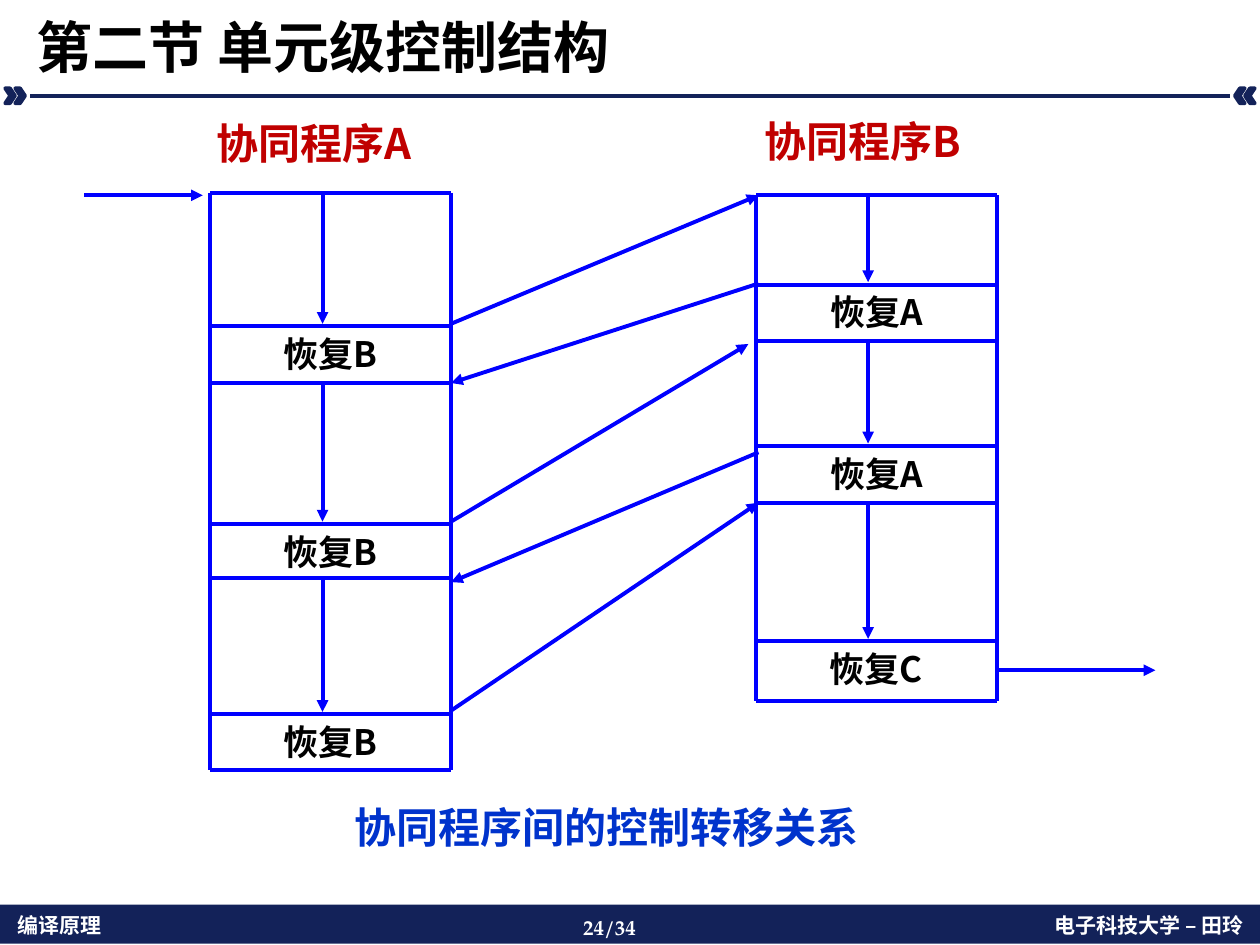
from itertools import pairwise

from lxml.etree import SubElement
from pptx import Presentation
from pptx.dml.color import RGBColor
from pptx.enum.shapes import MSO_CONNECTOR, MSO_SHAPE
from pptx.enum.text import MSO_ANCHOR, MSO_AUTO_SIZE, PP_ALIGN
from pptx.oxml.ns import qn
from pptx.util import Pt

EMU_PER_PX = 9144
SANS = "Noto Sans CJK SC"
SERIF = "TeX Gyre Pagella"
COLORS = {
    "navy": "132259",
    "white": "FFFFFF",
    "black": "000000",
    "flow": "0000FF",
    "heading": "C00000",
    "caption": "0033CC",
}


def px(length):
    """Turn a length in px into EMU."""
    return length * EMU_PER_PX


def color(name):
    """Return the named colour."""
    return RGBColor.from_string(COLORS[name])


def add_run(paragraph, text, size, color_name, font=SANS):
    """Append a bold run, with the same font for Latin and Chinese letters."""
    run = paragraph.add_run()
    run.text = text
    run.font.size = Pt(size)
    run.font.bold = True
    run.font.name = font
    run.font.color.rgb = color(color_name)
    SubElement(run._r.get_or_add_rPr(), qn("a:ea")).set("typeface", font)


def add_text(slide, box, text, size, color_name, align=PP_ALIGN.LEFT, font=SANS):
    """Add a wrapping one-paragraph text box and return its frame."""
    frame = slide.shapes.add_textbox(*map(px, box)).text_frame
    frame.word_wrap = True
    paragraph = frame.paragraphs[0]
    paragraph.alignment = align
    add_run(paragraph, text, size, color_name, font)
    return frame


def add_label(slide, box, text, size, color_name, space_before):
    """Add a centred label without side margins and return its frame."""
    frame = add_text(slide, box, text, size, color_name, PP_ALIGN.CENTER)
    frame.margin_left = frame.margin_right = 0
    frame.paragraphs[0].space_before = Pt(space_before)
    return frame


def add_hanging_label(slide, box, text, color_name):
    """Add a large centred label with a hanging indent."""
    frame = add_label(slide, box, text, 24, color_name, 12)
    frame.word_wrap = False
    frame.auto_size = MSO_AUTO_SIZE.SHAPE_TO_FIT_TEXT
    frame.vertical_anchor = MSO_ANCHOR.MIDDLE
    paragraph = frame.paragraphs[0]
    paragraph.line_spacing = 0.9
    properties = paragraph._p.get_or_add_pPr()
    properties.set("marL", str(px(50)))
    properties.set("indent", str(px(-50)))


def add_line(slide, start, end, color_name="flow", width=2.25, arrow=False):
    """Draw a straight line, with an arrowhead at its end if wanted."""
    line = slide.shapes.add_connector(
        MSO_CONNECTOR.STRAIGHT, *map(px, (*start, *end)))
    line.line.color.rgb = color(color_name)
    line.line.width = Pt(width)
    if arrow:
        SubElement(line.line._get_or_add_ln(), qn("a:tailEnd")).set("type", "triangle")
    SubElement(line._element.spPr, qn("a:effectLst"))


def add_navy_shape(slide, kind, box):
    """Add a plain navy shape without a shadow."""
    shape = slide.shapes.add_shape(kind, *map(px, box))
    shape.shadow.inherit = False
    shape.fill.solid()
    shape.fill.fore_color.rgb = color("navy")
    shape.line.fill.background()
    return shape


def add_header(slide, box, text):
    """Place the title above a rule that ends in double chevrons."""
    left, top, width, height = box
    title = slide.shapes.title
    title.left, title.top, title.width, title.height = map(
        px, (left + 19, top + 5, width - 39, 64))
    frame = title.text_frame
    frame.word_wrap = True
    frame.auto_size = MSO_AUTO_SIZE.NONE
    frame.vertical_anchor = MSO_ANCHOR.BOTTOM
    paragraph = frame.paragraphs[0]
    paragraph.alignment = PP_ALIGN.LEFT
    paragraph.line_spacing = 0.9
    add_run(paragraph, text, 32, "black")
    right, rule = left + width, top + height
    add_line(slide, (left + 24, rule), (right - 24, rule), "navy", 2)
    for offset in (4, 12):
        for x, flipped in ((left + offset, False), (right - offset - 8, True)):
            chevron = add_navy_shape(slide, MSO_SHAPE.CHEVRON, (x, rule - 6, 8, 12))
            chevron.line.color.rgb = color("navy")
            chevron.line.width = Pt(2)
            if flipped:
                chevron._element.spPr.get_or_add_xfrm().set("flipH", "1")


def add_footer(slide, box, course, page, author):
    """Place the footer band with its three texts."""
    left, top, width, height = box
    add_navy_shape(slide, MSO_SHAPE.RECTANGLE, box)
    add_text(slide, (left + 4, top + 1, 294, 30), course, 12, "white")
    add_text(slide, (left + 453, top + 3, 94, 30), page, 12, "white", font=SERIF)
    add_text(slide, (left + width - 302, top + 1, 299, 30), author, 12, "white",
             PP_ALIGN.RIGHT)


def add_routine(slide, box, heading, heading_box, rows, labels):
    """Draw a routine whose flow bands alternate with labelled resume bands."""
    left, top, width, height = box
    right, bottom = left + width, top + height
    levels = [top, *(top + row for row in rows), bottom]
    for band, (upper, lower) in enumerate(pairwise(levels)):
        if band % 2:
            add_label(slide, (left, upper, width, lower - upper),
                      labels[band // 2], 20, "black", 4)
        else:
            add_line(slide, (left + 89, upper + 1), (left + 89, lower - 2), arrow=True)
    for level in levels:
        add_line(slide, (left, level), (right, level))
    for side in (left, right):
        add_line(slide, (side, top), (side, bottom))
    x, y, heading_width, heading_height = heading_box
    add_hanging_label(slide, (left + x, top + y, heading_width, heading_height),
                      heading, "heading")


def add_transfers(slide, box):
    """Draw the arrows of control into, between and out of the routines."""
    left, top, width, height = box
    right = left + width
    arrows = [
        ((left - 291, top), (left - 197, top)),
        ((left, top + 102), (right, top)),
        ((right, top + 70), (left, top + 149)),
        ((left, top + 259), (right - 8, top + 118)),
        ((right, top + 204), (left, top + 307)),
        ((left, top + height), (right, top + 244)),
        ((right + 189, top + 377), (right + 315, top + 377)),
    ]
    for start, end in arrows:
        add_line(slide, start, end, arrow=True)


def main():
    """Build and save the slide."""
    presentation = Presentation()
    presentation.slide_width, presentation.slide_height = px(1000), px(750)
    slide = presentation.slides.add_slide(presentation.slide_layouts[5])
    add_footer(slide, (0, 718, 1000, 31), "编译原理", "24/34", "电子科技大学 – 田玲")
    add_header(slide, (0, 0, 1000, 76), "第二节 单元级控制结构")
    add_routine(slide, (167, 153, 191, 458), "协同程序A", (2, -61, 160, 47),
                (106, 151, 263, 306, 414), ["恢复B"] * 3)
    add_routine(slide, (600, 155, 191, 401), "协同程序B", (6, -64, 158, 47),
                (71, 116, 199, 244, 354), ["恢复A", "恢复A", "恢复C"])
    add_transfers(slide, (358, 155, 244, 409))
    add_hanging_label(slide, (279, 635, 404, 47), "协同程序间的控制转移关系", "caption")
    presentation.save("out.pptx")


if __name__ == "__main__":
    main()
